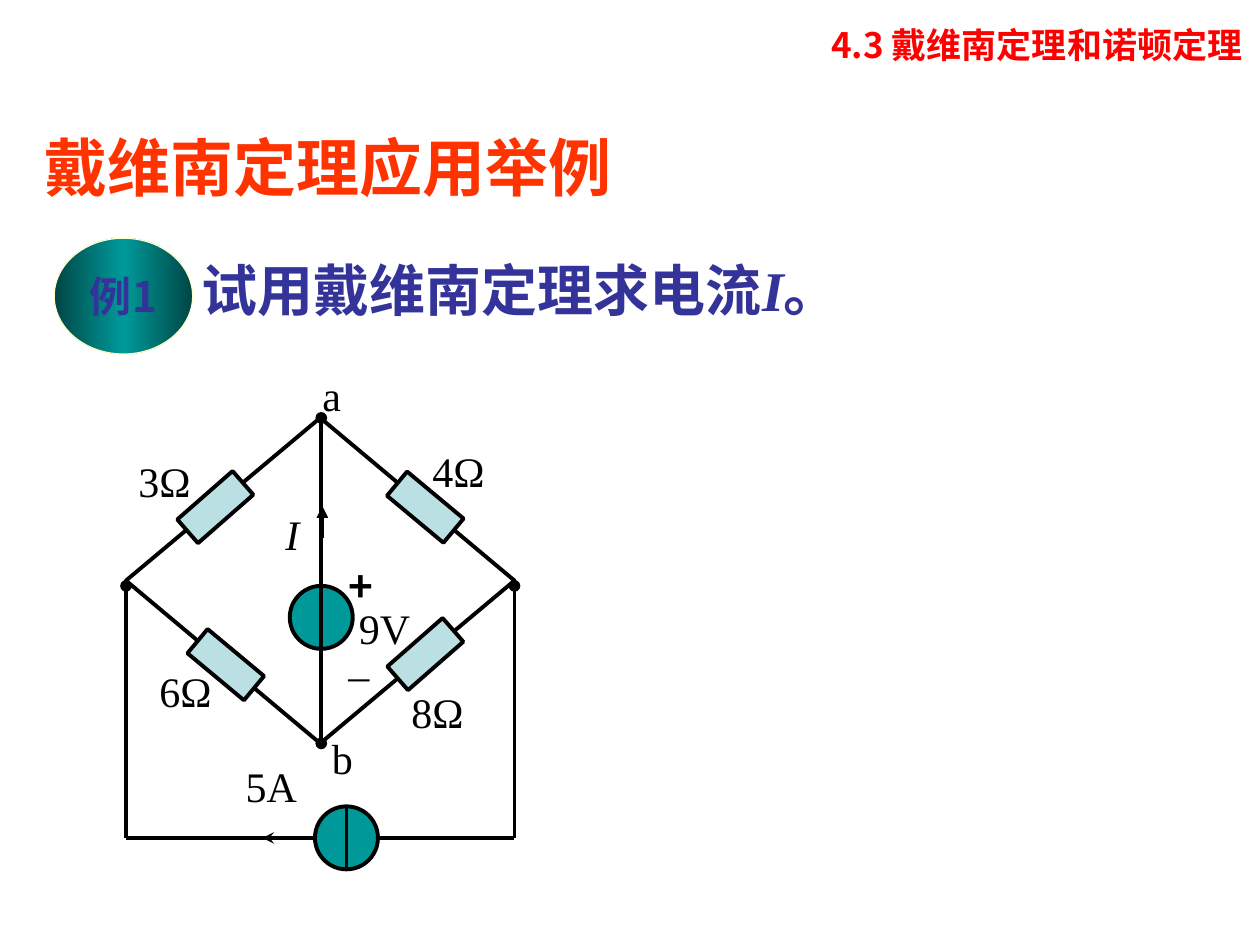
"""Build a slide with a bridge circuit example for Thevenin's theorem."""
from copy import deepcopy
from typing import NamedTuple

from pptx import Presentation
from pptx.dml.color import RGBColor
from pptx.enum.shapes import MSO_CONNECTOR, MSO_SHAPE
from pptx.enum.text import MSO_ANCHOR, MSO_AUTO_SIZE, PP_ALIGN
from pptx.oxml.ns import qn
from pptx.util import Inches, Pt

OVAL, DIAMOND, RECT = MSO_SHAPE.OVAL, MSO_SHAPE.DIAMOND, MSO_SHAPE.RECTANGLE
STRAIGHT = MSO_CONNECTOR.STRAIGHT
LEFT, CENTER, RIGHT = PP_ALIGN.LEFT, PP_ALIGN.CENTER, PP_ALIGN.RIGHT
TOP, MIDDLE = MSO_ANCHOR.TOP, MSO_ANCHOR.MIDDLE
NO_AUTOFIT = MSO_AUTO_SIZE.NONE

BLACK = RGBColor(0x00, 0x00, 0x00)
RED = RGBColor(0xFF, 0x00, 0x00)
ORANGE = RGBColor(0xFF, 0x33, 0x00)
NAVY = RGBColor(0x33, 0x33, 0x99)
TEAL = RGBColor(0x00, 0x99, 0x99)
DARK_TEAL = RGBColor(0x00, 0x46, 0x46)
PALE_BLUE = RGBColor(0xBB, 0xE0, 0xE3)
CREAM = RGBColor(0xFF, 0xFF, 0xCC)

SANS, SERIF, ARIAL = "Noto Sans CJK SC", "Times New Roman", "Arial"
WIDTH, HEIGHT = Inches(10), Inches(7.5)
GRID = Inches(1) / 12
ORIGIN_X, ORIGIN_Y = Inches(1), Inches(3.65)
LABEL_ROWS = 6


class Part(NamedTuple):
    """A circuit symbol placed by grid column and row."""
    kind: int
    col: float
    row: float
    cols: float
    rows: float
    fill: RGBColor | None = None
    angle: float = 0


class Wire(NamedTuple):
    """A straight wire between two grid points with optional end marks."""
    col1: float
    row1: float
    col2: float
    row2: float
    head: str = ""
    tail: str = ""


class Label(NamedTuple):
    """A circuit label placed by grid column and row."""
    text: str
    col: float
    row: float
    cols: float = 16
    align: int = LEFT
    style: dict = {}


FRAME = [
    Wire(0, 12, 0, 36, "oval"),
    Wire(0, 36, 37, 36),
    Wire(37, 12, 37, 36, "oval"),
]
SOURCES = [
    Part(OVAL, 15.6, 12, 6, 6, TEAL),
    Part(DIAMOND, 0, -4, 37, 31),
    Part(OVAL, 18, 33, 6, 6, TEAL),
]
BRANCHES = [
    Wire(18.6, -4, 18.6, 27, "oval", "oval"),
    Wire(21, 39, 21, 33),
    Wire(18, 36, 13, 36, tail="stealth"),
    Wire(18.7, 7.4, 18.7, 4.4, tail="triangle"),
]
RESISTORS = [
    Part(RECT, col, row, 3, 7, PALE_BLUE, angle)
    for col, row, angle in [(7, 1, 48.8), (27, 15, 48.8), (8, 16, 129.8), (27, 1, 129.8)]
]
LABELS = [
    Label("3Ω", 0, -1),
    Label("I", 14, 4, style={"italic": True}),
    Label("6Ω", 2, 19),
    Label("4Ω", 28, -2),
    Label("8Ω", 26, 21),
    Label("+", 20, 9, 11, style={"name": SANS, "bold": True}),
    Label("_", 20, 16, 11),
    Label("9V", 21, 13, 11),
    Label("5A", 10.2, 28),
    Label("a", 16.8, -9.2, 5.6, CENTER),
    Label("b", 17.8, 25.4, 5.6, CENTER),
]


def grid_point(col: float, row: float) -> tuple[int, int]:
    """Return the slide position of a grid point."""
    return round(ORIGIN_X + col * GRID), round(ORIGIN_Y + row * GRID)


def share_box(x: float, y: float, w: float, h: float) -> tuple[int, ...]:
    """Return a box given as percentages of the slide's size."""
    return tuple(round(v * side / 100) for v, side in
                 ((x, WIDTH), (y, HEIGHT), (w, WIDTH), (h, HEIGHT)))


def write(s, runs: list[tuple[str, dict]], style: dict, align=LEFT, anchor=TOP, wrap=True) -> None:
    """Fill a shape with one paragraph of formatted runs."""
    tf = s.text_frame
    tf.auto_size, tf.word_wrap, tf.vertical_anchor = NO_AUTOFIT, wrap, anchor
    p = tf.paragraphs[0]
    p.alignment = align
    for text, extra in runs:
        r = p.add_run()
        r.text = text
        values = style | extra
        r.font.color.rgb = values["color"]
        for key, value in values.items():
            if key != "color":
                setattr(r.font, key, value)


def draw_part(slide, part: Part) -> None:
    """Draw one circuit symbol."""
    s = slide.shapes.add_shape(part.kind, *grid_point(part.col, part.row),
                               round(part.cols * GRID), round(part.rows * GRID))
    s.shadow.inherit = False
    s.rotation = part.angle
    s.line.color.rgb, s.line.width = BLACK, Pt(2.25)
    if part.fill is None:
        s.fill.background()
    else:
        s.fill.solid()
        s.fill.fore_color.rgb = part.fill


def draw_wire(slide, wire: Wire) -> None:
    """Draw one wire with its end marks."""
    s = slide.shapes.add_connector(STRAIGHT, *grid_point(wire.col1, wire.row1),
                                   *grid_point(wire.col2, wire.row2))
    s.line.color.rgb, s.line.width = BLACK, Pt(2.25)
    ln = s.line._get_or_add_ln()
    for tag, mark in (("a:headEnd", wire.head), ("a:tailEnd", wire.tail)):
        if mark:
            ln.append(ln.makeelement(qn(tag), {"type": mark}))
    sp_pr = s._element.spPr
    sp_pr.append(sp_pr.makeelement(qn("a:effectLst"), {}))


def draw_label(slide, label: Label) -> None:
    """Draw one circuit label."""
    s = slide.shapes.add_textbox(*grid_point(label.col, label.row),
                                 round(label.cols * GRID), round(LABEL_ROWS * GRID))
    style = {"name": SERIF, "size": Pt(24), "color": BLACK}
    write(s, [(label.text, label.style)], style, label.align)


def draw_badge(slide) -> None:
    """Draw the example badge with its three-stop gradient."""
    s = slide.shapes.add_shape(OVAL, *share_box(4.3, 25.2, 11, 12.27))
    s.shadow.inherit = False
    s.line.color.rgb, s.line.width = CREAM, Pt(0.75)
    s.fill.gradient()
    s.fill.gradient_angle = 0
    stops = s._element.spPr.find(qn("a:gradFill")).find(qn("a:gsLst"))
    stops.insert(1, deepcopy(stops[0]))
    for stop, position, color in zip(s.fill.gradient_stops, (0, 0.5, 1), (DARK_TEAL, TEAL, DARK_TEAL)):
        stop.position, stop.color.rgb = position, color
    style = {"name": SANS, "size": Pt(24), "bold": True, "color": NAVY}
    write(s, [("例1", {})], style, CENTER, MIDDLE, False)


def draw_headings(slide) -> None:
    """Write the title, the question and the section heading."""
    title = slide.shapes.title
    title.left, title.top, title.width, title.height = share_box(2.5, 10.93, 85, 13.33)
    style = {"name": ARIAL, "size": Pt(36), "bold": True, "color": ORANGE}
    write(title, [("戴维南定理应用举例", {})], style, anchor=MIDDLE)
    s = slide.shapes.add_textbox(*share_box(15, 26.4, 65.8, 8.53))
    style = {"name": SERIF, "size": Pt(32), "bold": True, "color": NAVY}
    write(s, [("试用戴维南定理求电流", {}), ("I", {"italic": True}), ("。", {})], style)
    s = slide.shapes.add_textbox(*share_box(14.6, 1.87, 85, 6.27))
    style = {"name": SANS, "size": Pt(20), "bold": True, "color": RED}
    write(s, [("4.3 戴维南定理和诺顿定理", {})], style, RIGHT)


def main() -> None:
    """Build and save the slide."""
    prs = Presentation()
    prs.slide_width, prs.slide_height = WIDTH, HEIGHT
    slide = prs.slides.add_slide(prs.slide_layouts[5])
    draw_headings(slide)
    draw_badge(slide)
    for draw, items in ((draw_wire, FRAME), (draw_part, SOURCES), (draw_wire, BRANCHES),
                        (draw_part, RESISTORS), (draw_label, LABELS)):
        for item in items:
            draw(slide, item)
    prs.save("out.pptx")


if __name__ == "__main__":
    main()
